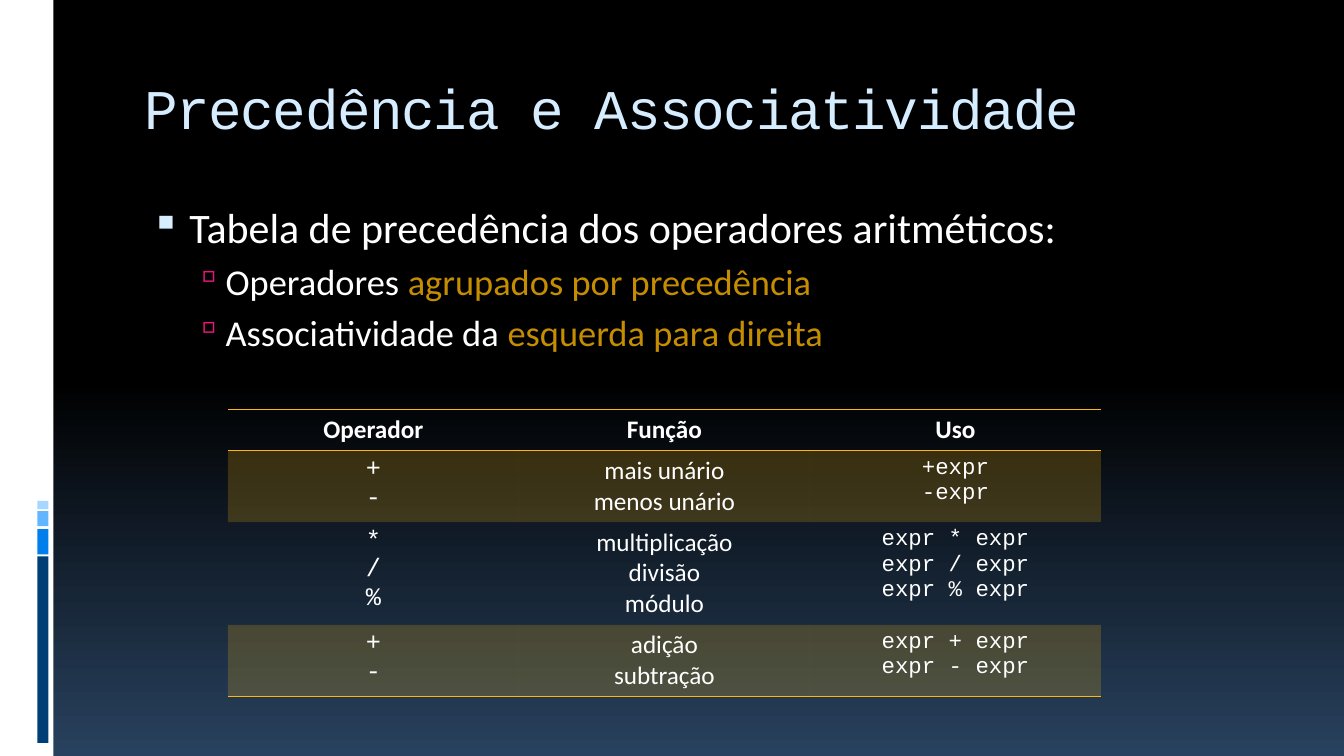
"""Builds a slide on the precedence and associativity of arithmetic operators."""
from lxml import etree
from pptx import Presentation
from pptx.dml.color import RGBColor
from pptx.enum.shapes import MSO_SHAPE
from pptx.enum.text import MSO_ANCHOR, PP_ALIGN
from pptx.oxml.ns import qn
from pptx.util import Inches, Pt

RECTANGLE = MSO_SHAPE.RECTANGLE
MIDDLE, TOP = MSO_ANCHOR.MIDDLE, MSO_ANCHOR.TOP
LEFT, CENTER = PP_ALIGN.LEFT, PP_ALIGN.CENTER
NO_GRID_STYLE = "{2D5ABB26-0587-4C30-8999-92F81FD0307C}"

SIDEBAR = [
    (0, 0, 0.53, 7.5, "FFFFFF"),
    (0.37, 5.52, 0.11, 1.85, "003F75"),
    (0.37, 5.25, 0.11, 0.25, "007EEB"),
    (0.37, 5.07, 0.11, 0.15, "61B6FF"),
    (0.37, 4.97, 0.11, 0.08, "A7D6FF"),
]
BULLETS = [
    (0, "Tabela de precedência dos operadores aritméticos:", ""),
    (1, "Operadores ", "agrupados por precedência"),
    (1, "Associatividade da ", "esquerda para direita"),
]
OPERATORS = [
    ("Operador", "Função", "Uso"),
    ("+\n-", "mais unário\nmenos unário", "+expr\n-expr"),
    ("*\n/\n%", "multiplicação\ndivisão\nmódulo", "expr * expr\nexpr / expr\nexpr % expr"),
    ("+\n-", "adição\nsubtração", "expr + expr\nexpr - expr"),
]
ROW_HEIGHTS = [0.41, 0.71, 1.02, 0.71]


def color(value):
    """Turn a hex string into a colour."""
    return RGBColor.from_string(value)


def add_element(parent, tag, **attributes):
    """Append a drawing element with the given attributes."""
    element = etree.SubElement(parent, qn(tag))
    for name, value in attributes.items():
        element.set(name, str(value))
    return element


class SlideBuilder:
    """Holds the style and the current slide."""

    sans, mono = "Calibri", "Courier New"
    text, title_color, accent, highlight = "FFFFFF", "D6ECFF", "FEB80A", "C58D01"
    bullets = [
        {"size": 30, "margin": 0.45, "hanging": 0.38, "before": 7,
         "char": "▪", "color": "D6ECFF", "percent": 95},
        {"size": 26, "margin": 0.81, "hanging": 0.31, "before": 5.2,
         "char": "▫", "color": "EA157A", "percent": 90},
    ]

    def __init__(self, deck):
        """Add a title-only slide to the deck."""
        self.page = deck.slides.add_slide(deck.slide_layouts[5])

    def format_span(self, span, size, font, fill, bold=False):
        """Set the font of a run."""
        span.font.size = Pt(size)
        span.font.name = font
        span.font.bold = bold
        span.font.color.rgb = color(fill)

    def background(self, stops):
        """Fill the page with a gradient running downwards."""
        fill = self.page.background.fill
        fill.gradient()
        fill.gradient_angle = 270
        for stop, (position, value) in zip(fill.gradient_stops, stops):
            stop.position = position
            stop.color.rgb = color(value)

    def bar(self, left, top, width, height, fill):
        """Add a plain rectangle."""
        bar = self.page.shapes.add_shape(
            RECTANGLE, Inches(left), Inches(top), Inches(width), Inches(height))
        bar.shadow.inherit = False
        bar.fill.solid()
        bar.fill.fore_color.rgb = color(fill)
        bar.line.fill.background()

    def title(self, text, left, top, width, height):
        """Place and format the title placeholder."""
        title = self.page.shapes.title
        title.left, title.top = Inches(left), Inches(top)
        title.width, title.height = Inches(width), Inches(height)
        title.text_frame.text = text
        title.text_frame.vertical_anchor = MIDDLE
        para = title.text_frame.paragraphs[0]
        para.alignment = LEFT
        span = para.runs[0]
        self.format_span(span, 40, self.mono, self.title_color)
        span.font._element.set("spc", "-100")

    def bullet_list(self, items, left, top, width, height):
        """Add a bulleted text box with highlighted endings."""
        box = self.page.shapes.add_textbox(
            Inches(left), Inches(top), Inches(width), Inches(height))
        frame = box.text_frame
        frame.word_wrap = True
        frame.text = "\n".join(plain for _, plain, _ in items)
        for para, (level, _, marked) in zip(frame.paragraphs, items):
            style = self.bullets[level]
            para.level = level
            para.space_before = Pt(style["before"])
            self.format_span(para.runs[0], style["size"], self.sans, self.text)
            if marked:
                span = para.add_run()
                span.text = marked
                self.format_span(span, style["size"], self.sans, self.highlight)
            self.bullet(para, style)

    def bullet(self, para, style):
        """Give a paragraph its indent and bullet."""
        properties = para._p.get_or_add_pPr()
        properties.set("marL", str(Inches(style["margin"])))
        properties.set("indent", str(-Inches(style["hanging"])))
        bullet_color = add_element(properties, "a:buClr")
        add_element(bullet_color, "a:srgbClr", val=style["color"])
        add_element(properties, "a:buSzPct", val=style["percent"] * 1000)
        add_element(properties, "a:buChar", char=style["char"])

    def table(self, rows, heights, left, top, width):
        """Add a table with ruled header and tinted odd rows."""
        frame = self.page.shapes.add_table(
            len(rows), len(rows[0]), Inches(left), Inches(top),
            Inches(width), Inches(sum(heights)))
        table = frame.table
        table.first_row = table.horz_banding = False
        table._tbl.tblPr.find(qn("a:tableStyleId")).text = NO_GRID_STYLE
        for index, (texts, height) in enumerate(zip(rows, heights)):
            table.rows[index].height = Inches(height)
            header, last = index == 0, index == len(rows) - 1
            edges = ["a:lnT"] * header + ["a:lnB"] * (header or last)
            for column, text in enumerate(texts):
                cell = table.cell(index, column)
                font = self.sans if header or column == 1 else self.mono
                size = 16 if column == 2 and not header else 18
                self.cell_text(cell, text, size, font, header)
                self.cell_borders(cell, edges)
                self.cell_fill(cell, index % 2 == 1)

    def cell_text(self, cell, text, size, font, bold):
        """Write centred text into a cell."""
        cell.text_frame.text = text
        cell.vertical_anchor = TOP
        for para in cell.text_frame.paragraphs:
            para.alignment = CENTER
            self.format_span(para.runs[0], size, font, self.text, bold)

    def cell_borders(self, cell, edges):
        """Draw accent lines on the given edges of a cell."""
        properties = cell._tc.get_or_add_tcPr()
        for edge in edges:
            line = add_element(properties, edge, w=Pt(1))
            add_element(add_element(line, "a:solidFill"), "a:srgbClr", val=self.accent)

    def cell_fill(self, cell, tinted):
        """Tint a cell with the transparent accent, or leave it clear."""
        if not tinted:
            cell.fill.background()
            return
        cell.fill.solid()
        cell.fill.fore_color.rgb = color(self.accent)
        shade = cell._tc.tcPr.find(qn("a:solidFill")).find(qn("a:srgbClr"))
        add_element(shade, "a:alpha", val=20000)


def main():
    """Build and save the deck."""
    deck = Presentation()
    deck.slide_width, deck.slide_height = Inches(13.33), Inches(7.5)
    slide = SlideBuilder(deck)
    slide.background([(0.5, "000000"), (1, "28415E")])
    for bar in SIDEBAR:
        slide.bar(*bar)
    slide.title("Precedência e Associatividade", 1.33, 0.56, 11.33, 1)
    slide.bullet_list(BULLETS, 1.33, 1.95, 11.33, 5)
    slide.table(OPERATORS, ROW_HEIGHTS, 2.26, 4.06, 8.66)
    deck.save("out.pptx")


if __name__ == "__main__":
    main()
